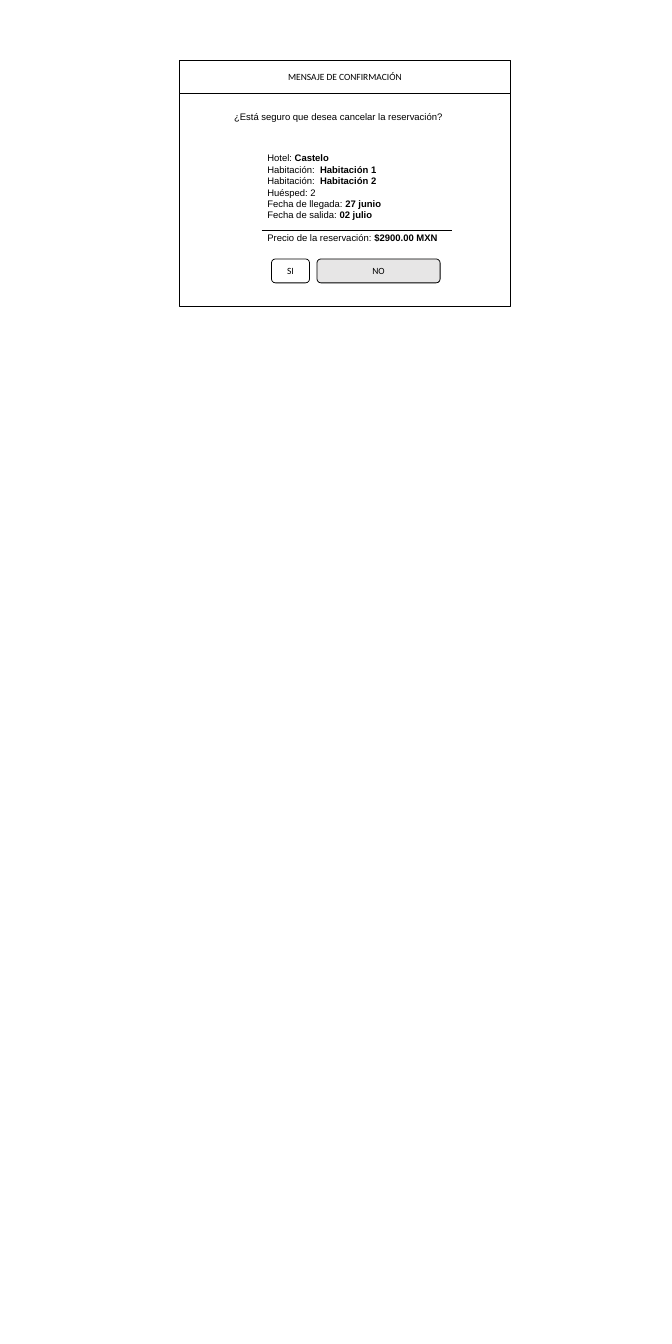
from lxml import etree
from pptx import Presentation
from pptx import util as u
from pptx.dml.color import RGBColor
from pptx.enum import shapes, text
from pptx.oxml.ns import qn

BLACK, WHITE, GRAY = "000000", "FFFFFF", "E7E6E6"


def paint(shape, fill, box):
    """Place a shape by (left, top, width, height) in cm, with a black outline."""
    for name, length in zip(("left", "top", "width", "height"), box):
        setattr(shape, name, u.Cm(length))
    shape.fill.solid()
    shape.fill.fore_color.rgb = RGBColor.from_string(fill)
    shape.line.color.rgb = RGBColor.from_string(BLACK)
    shape.line.width = u.Pt(1)


def write(paragraph, runs, font_name, alignment):
    """Fill a paragraph with (text, bold) runs in 12 pt black."""
    for name, value in {"alignment": alignment, "line_spacing": 1.0}.items():
        setattr(paragraph, name, value)
    for words, bold in runs:
        run = paragraph.add_run()
        run.text = words
        for name, value in {"name": font_name, "size": u.Pt(12), "bold": bold}.items():
            setattr(run.font, name, value)
        run.font.color.rgb = RGBColor.from_string(BLACK)


presentation = Presentation()
presentation.slide_width, presentation.slide_height = u.Cm(30), u.Cm(60)
slide = presentation.slides.add_slide(presentation.slide_layouts[1])

# Dialog window with its title bar
left, top, width = 8, 2.7, 14.8
title = slide.shapes.title
window = slide.shapes.add_shape(shapes.MSO_SHAPE.RECTANGLE, 0, 0, 0, 0)
window.shadow.inherit = False
paint(window, WHITE, (left, top, width, 11))
title.element.addprevious(window.element)
paint(title, WHITE, (left, top, width, 1.47))
title.text_frame.auto_size = text.MSO_AUTO_SIZE.NONE
title.text_frame.vertical_anchor = text.MSO_ANCHOR.MIDDLE
write(title.text_frame.paragraphs[0], [("MENSAJE DE CONFIRMACIÓN", False)],
      "Calibri", text.PP_ALIGN.CENTER)

# Buttons
for label, fill, button_left, button_width in (("SI", WHITE, 12.12, 1.7),
                                               ("NO", GRAY, 14.15, 5.5)):
    button = slide.shapes.add_shape(shapes.MSO_SHAPE.ROUNDED_RECTANGLE, 0, 0, 0, 0)
    button.shadow.inherit = False
    paint(button, fill, (button_left, 11.56, button_width, 1.07))
    button.text_frame.vertical_anchor = text.MSO_ANCHOR.MIDDLE
    write(button.text_frame.paragraphs[0], [(label, False)], "Calibri", text.PP_ALIGN.CENTER)

# Question
question = slide.shapes.add_textbox(u.Cm(10.2), u.Cm(4.85), u.Cm(12.6), u.Cm(0.76))
question.text_frame.word_wrap = True
write(question.text_frame.paragraphs[0],
      [("¿Está seguro que desea cancelar la reservación?", False)],
      "Arial", text.PP_ALIGN.LEFT)

# Reservation details, with the price set apart below the rule
details = slide.placeholders[1]
for name, length in {"left": 11.68, "top": 6.68, "width": 9.1, "height": 4.32}.items():
    setattr(details, name, u.Cm(length))
frame = details.text_frame
frame.auto_size = text.MSO_AUTO_SIZE.NONE
frame.vertical_anchor = text.MSO_ANCHOR.TOP
reservation = [
    ("Hotel: ", "Castelo"),
    ("Habitación: ", " Habitación 1"),
    ("Habitación: ", " Habitación 2"),
    ("Huésped: 2", ""),
    ("Fecha de llegada: ", "27 junio"),
    ("Fecha de salida: ", "02 julio"),
    ("Precio de la reservación: ", "$2900.00 MXN"),
]
for index, (label, value) in enumerate(reservation):
    paragraph = frame.add_paragraph() if index else frame.paragraphs[0]
    properties = paragraph._p.get_or_add_pPr()
    properties.set("marL", "0")
    properties.set("indent", "0")
    etree.SubElement(properties, qn("a:buNone"))
    is_price = index == len(reservation) - 1
    paragraph.space_before = u.Pt(14 if is_price else 0)
    runs = [(label, False)] + ([(value, True)] if value else [])
    write(paragraph, runs, "Arial", text.PP_ALIGN.LEFT)

rule = slide.shapes.add_connector(shapes.MSO_CONNECTOR.STRAIGHT,
                                  u.Cm(11.68), u.Cm(10.26), u.Cm(20.17), u.Cm(10.26))
rule.line.color.rgb = RGBColor.from_string(BLACK)
rule.line.width = u.Pt(0.5)
etree.SubElement(rule.element.spPr, qn("a:effectLst"))

presentation.save("out.pptx")
